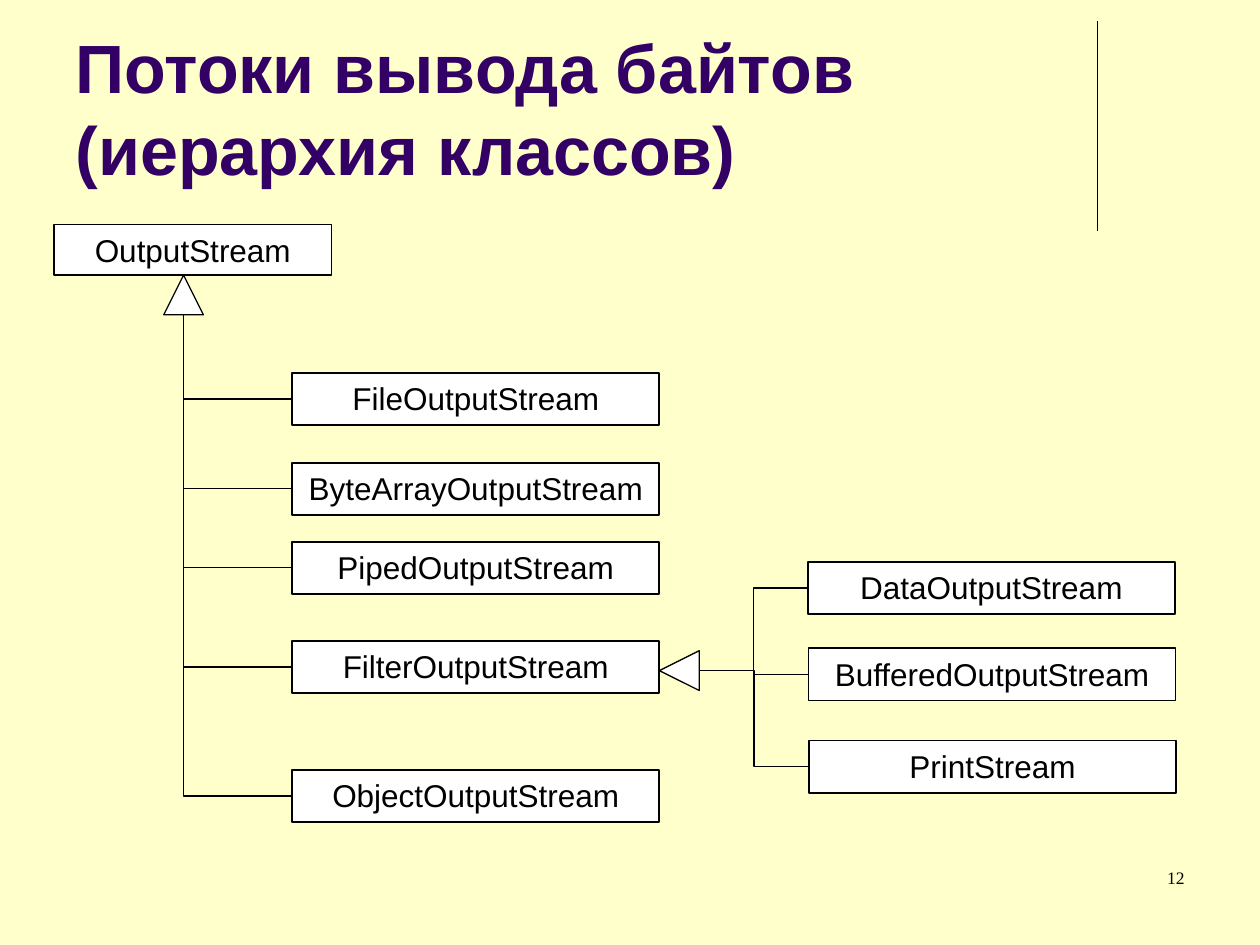
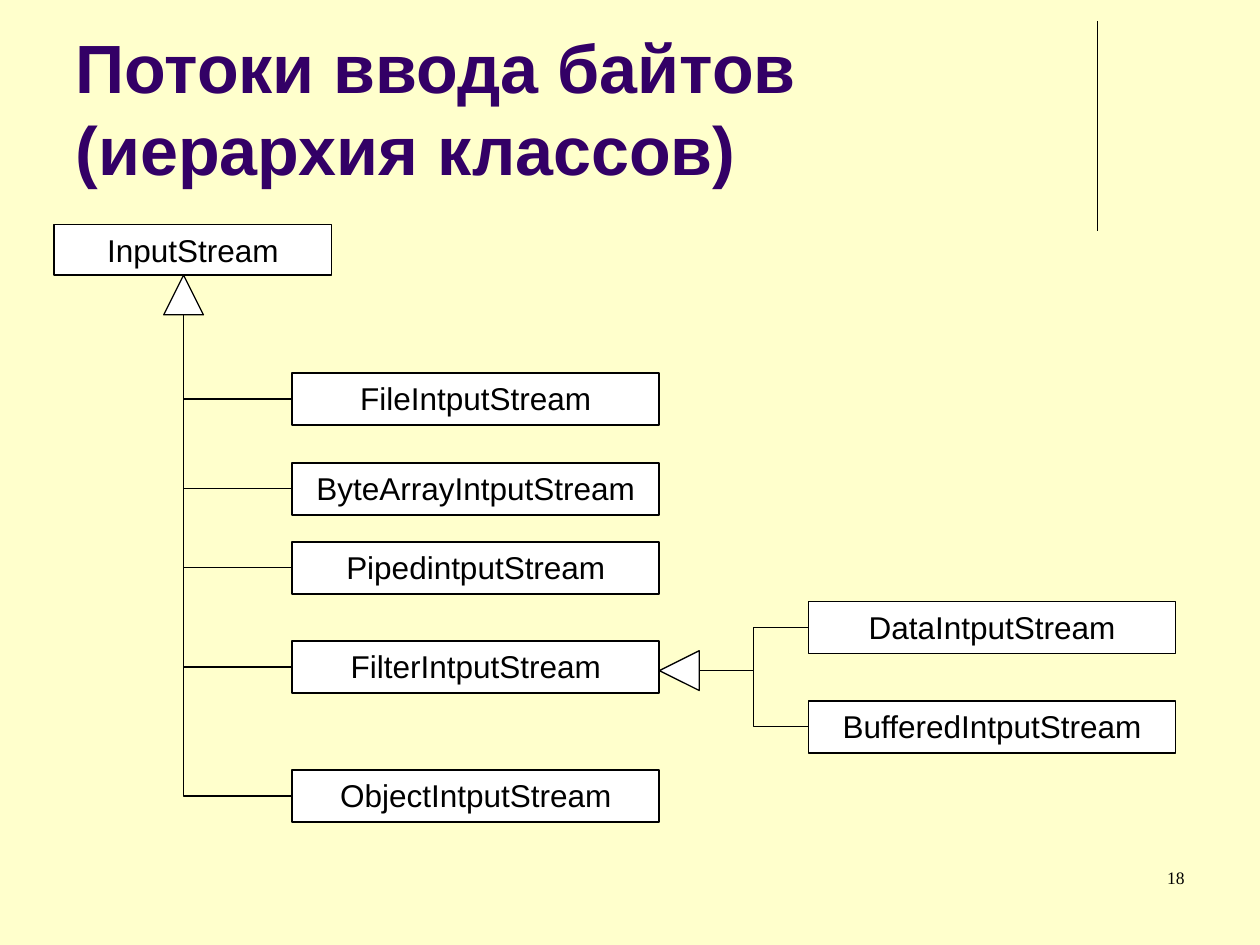
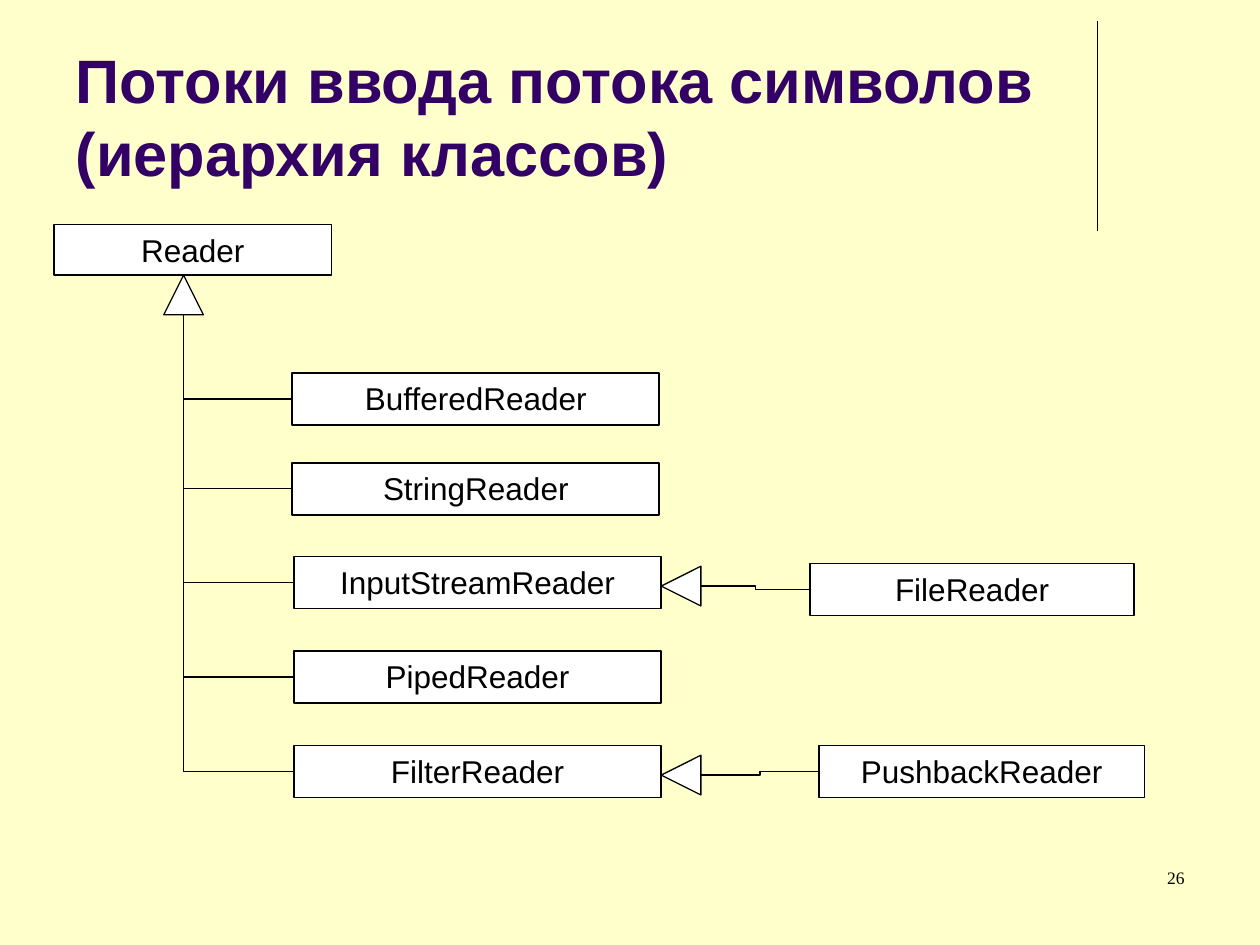
import pptx
import pptx.util
import pptx.dml.color
import pptx.enum.shapes
import pptx.enum.text
import pptx.oxml.ns
import lxml.etree

Pt = pptx.util.Pt
SHAPES = pptx.enum.shapes.MSO_SHAPE
CONNECTORS = pptx.enum.shapes.MSO_CONNECTOR
ALIGN = pptx.enum.text.PP_ALIGN
ANCHOR = pptx.enum.text.MSO_ANCHOR

COLORS = {"background": "FFFFCC", "title": "330066", "ink": "000000", "box": "FFFFFF"}
SANS, SERIF = "Arial", "Times New Roman"

ROOT_FRAME = (31, 128.2, 158.4, 29)
CHILD_SIZE = (209.8, 29.8)
TRIANGLE = 22.7
TRUNK_X = 104.9
TRIANGLE_DROP = 2
BOTTOM, LEFT = 2, 1

SLIDES = [
    {
        "title": "Потоки вывода байтов (иерархия классов)",
        "title_size": 39,
        "number": "12",
        "root": "OutputStream",
        "children": [
            ("FileOutputStream", 167, 213.2),
            ("ByteArrayOutputStream", 167, 264.4),
            ("PipedOutputStream", 167, 309.6),
            ("FilterOutputStream", 167, 366.3),
            ("ObjectOutputStream", 167, 440),
        ],
        "grandchildren": {
            "FilterOutputStream": [
                ("DataOutputStream", 461.6, 321.2, 209.8),
                ("BufferedOutputStream", 462, 370.5, 209.8),
                ("PrintStream", 462.3, 423.2, 209.8),
            ],
        },
    },
    {
        "title": "Потоки ввода байтов (иерархия классов)",
        "title_size": 39,
        "number": "18",
        "root": "InputStream",
        "children": [
            ("FileIntputStream", 167, 213.2),
            ("ByteArrayIntputStream", 167, 264.4),
            ("PipedintputStream", 167, 309.6),
            ("FilterIntputStream", 167, 366.3),
            ("ObjectIntputStream", 167, 440),
        ],
        "grandchildren": {
            "FilterIntputStream": [
                ("DataIntputStream", 462, 343.7, 209.8),
                ("BufferedIntputStream", 462, 400.4, 209.8),
            ],
        },
    },
    {
        "title": "Потоки ввода потока символов (иерархия классов)",
        "title_size": 35,
        "number": "26",
        "root": "Reader",
        "children": [
            ("BufferedReader", 167, 213.2),
            ("StringReader", 167, 264.4),
            ("InputStreamReader", 168, 318),
            ("PipedReader", 168, 372),
            ("FilterReader", 168, 426),
        ],
        "grandchildren": {
            "InputStreamReader": [("FileReader", 462.8, 322, 185.3)],
            "FilterReader": [("PushbackReader", 468, 426, 186)],
        },
    },
]


def rgb(name):
    return pptx.dml.color.RGBColor.from_string(COLORS[name])


def set_font(paragraph, name, size, color, bold=False):
    paragraph.font.name = name
    paragraph.font.size = Pt(size)
    paragraph.font.color.rgb = rgb(color)
    paragraph.font.bold = bold


def add_outlined(slide, kind, frame, line_width):
    shape = slide.shapes.add_shape(kind, *map(Pt, frame))
    shape.shadow.inherit = False
    shape.fill.solid()
    shape.fill.fore_color.rgb = rgb("box")
    shape.line.color.rgb = rgb("ink")
    shape.line.width = Pt(line_width)
    return shape


def add_class(slide, name, frame):
    box = add_outlined(slide, SHAPES.RECTANGLE, frame, 1)
    box.text_frame.word_wrap = True
    box.text_frame.vertical_anchor = ANCHOR.TOP
    para = box.text_frame.paragraphs[0]
    para.text = name
    para.alignment = ALIGN.CENTER
    set_font(para, SANS, 18, "ink")
    return box


def add_triangle(slide, center_x, center_y, rotation=0):
    frame = (center_x - TRIANGLE / 2, center_y - TRIANGLE / 2, TRIANGLE, TRIANGLE)
    triangle = add_outlined(slide, SHAPES.FLOWCHART_EXTRACT, frame, 0.75)
    triangle.rotation = rotation
    return triangle


def add_line(slide, kind, start, end):
    line = slide.shapes.add_connector(kind, *map(Pt, start + end))
    line.line.color.rgb = rgb("ink")
    line.line.width = Pt(0.75)
    properties = line._element.spPr
    lxml.etree.SubElement(properties, pptx.oxml.ns.qn("a:effectLst"))
    return line


def join(slide, box, triangle, end, preset):
    line = add_line(slide, CONNECTORS.ELBOW, (0, 0), end)
    line._element.spPr.find(pptx.oxml.ns.qn("a:prstGeom")).set("prst", preset)
    line.begin_connect(box, LEFT)
    line.end_connect(triangle, BOTTOM)
    line.end_x, line.end_y = map(Pt, end)


def add_hierarchy(slide, content):
    width, height = CHILD_SIZE
    add_class(slide, content["root"], ROOT_FRAME)
    root_bottom = ROOT_FRAME[1] + ROOT_FRAME[3]
    root_triangle = add_triangle(slide, TRUNK_X, root_bottom + TRIANGLE / 2)
    trunk_top = (TRUNK_X, root_bottom + TRIANGLE)
    for name, left, top in content["children"]:
        child = add_class(slide, name, (left, top, width, height))
        join(slide, child, root_triangle, trunk_top, "bentConnector2")
        if name not in content["grandchildren"]:
            continue
        right = left + width
        middle = top + height / 2 + TRIANGLE_DROP
        triangle = add_triangle(slide, right + TRIANGLE / 2, middle, 270)
        for label, x, y, label_width in content["grandchildren"][name]:
            grandchild = add_class(slide, label, (x, y, label_width, height))
            join(slide, grandchild, triangle, (right + TRIANGLE, middle), "bentConnector3")


def add_title(slide, text, size):
    title = slide.shapes.title
    title.left, title.top, title.width, title.height = map(Pt, (36, 9.4, 594, 102.2))
    title.text_frame.text = text
    title.text_frame.auto_size = pptx.enum.text.MSO_AUTO_SIZE.NONE
    title.text_frame.vertical_anchor = ANCHOR.BOTTOM
    para = title.text_frame.paragraphs[0]
    para.alignment = ALIGN.LEFT
    set_font(para, SANS, size, "title", True)


def add_number(slide, number):
    box = slide.shapes.add_textbox(*map(Pt, (516.2, 491.8, 167.8, 36)))
    box.text_frame.word_wrap = True
    para = box.text_frame.paragraphs[0]
    para.text = number
    para.alignment = ALIGN.RIGHT
    set_font(para, SERIF, 10, "ink")


def main():
    deck = pptx.Presentation()
    deck.slide_width, deck.slide_height = Pt(720), Pt(540)
    background = deck.slide_master.background.fill
    background.solid()
    background.fore_color.rgb = rgb("background")
    for content in SLIDES:
        slide = deck.slides.add_slide(deck.slide_layouts[5])
        add_line(slide, CONNECTORS.STRAIGHT, (627, 12), (627, 132))
        add_title(slide, content["title"], content["title_size"])
        add_hierarchy(slide, content)
        add_number(slide, content["number"])
    deck.save("out.pptx")


if __name__ == "__main__":
    main()
